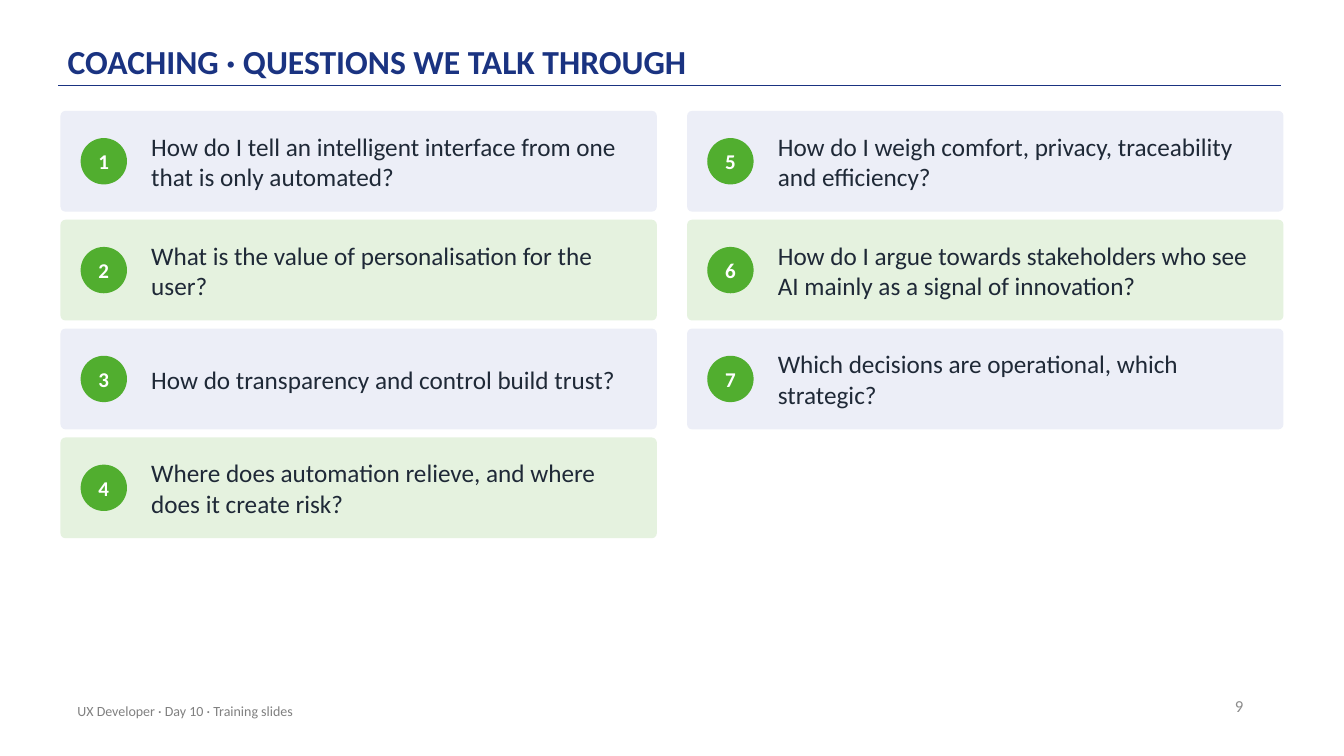
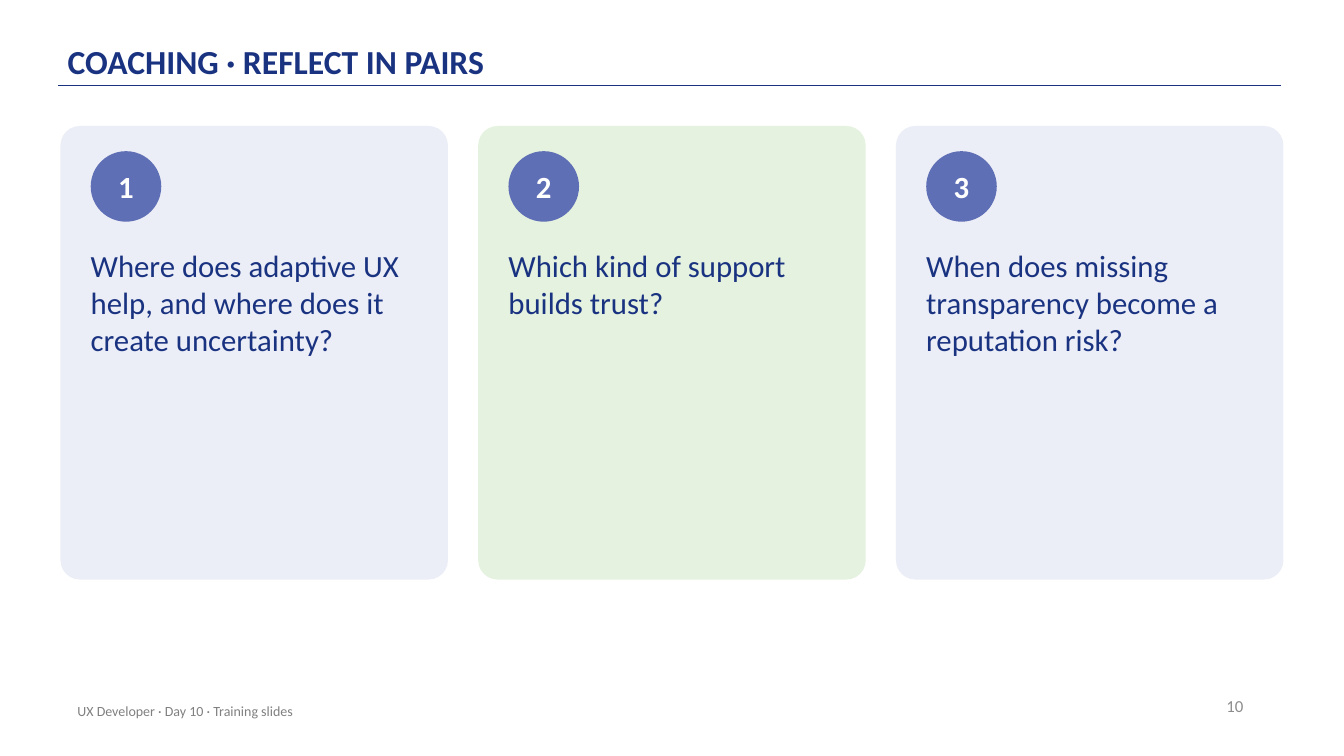
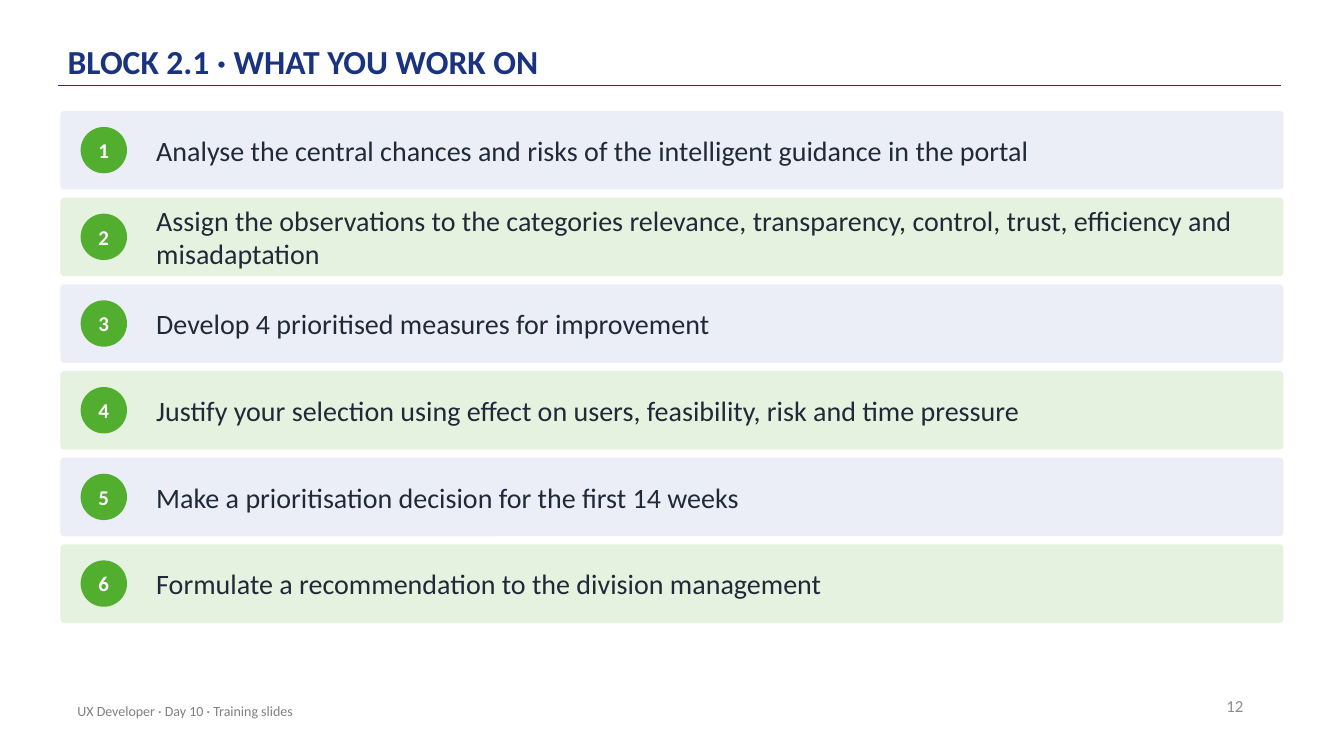
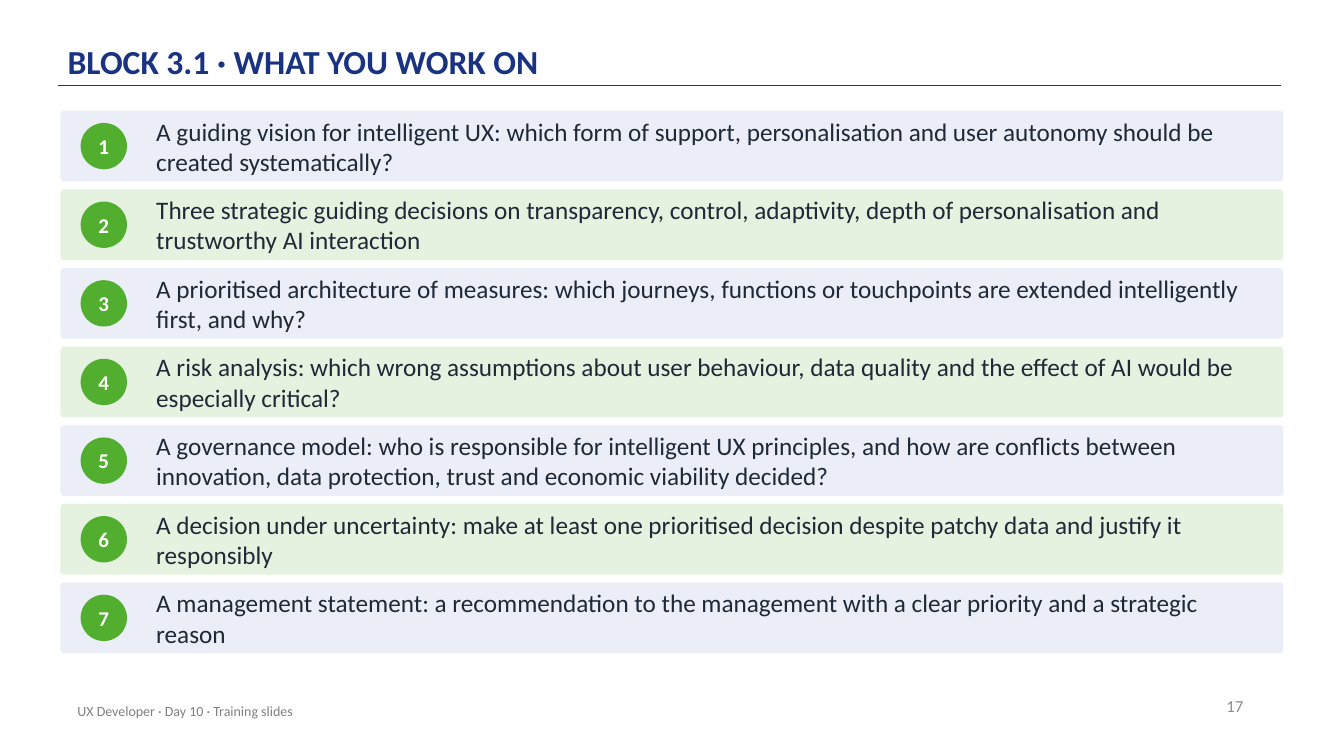
from lxml import etree
from pptx import Presentation
from pptx import util as u
from pptx.dml.color import RGBColor
from pptx.enum import shapes, text
from pptx.oxml import ns

COLORS = {"navy": "1A3381", "ink": "1F2937", "white": "FFFFFF",
          "lavender": "ECEEF7", "mint": "E5F2DF", "green": "51AE2F",
          "indigo": "5F6FB5", "footer": "808080", "number": "8C8C8C"}
FONT = "Calibri"
LEFT, WIDTH, GUTTER, ROW_GAP = 0.6, 12.13, 0.3, 0.08

# Measures of the three arrangements, in inches and points
QUESTIONS = dict(columns=2, rows=4, top=1.1, height=1, text_x=0.9, margin=0.2, size=18)
CARDS = dict(columns=3, rows=1, top=1.25, height=4.5, text_x=0.3, margin=0.3, size=22)
TASKS = dict(columns=1, rows=6, top=1.1, height=0.78, text_x=0.95, margin=0.25, size=20)
RESULTS = dict(TASKS, rows=7, height=0.7, size=18)

DECK = [
    ("COACHING · QUESTIONS WE TALK THROUGH", 9, QUESTIONS, [
        "How do I tell an intelligent interface from one that is only automated?",
        "What is the value of personalisation for the user?",
        "How do transparency and control build trust?",
        "Where does automation relieve, and where does it create risk?",
        "How do I weigh comfort, privacy, traceability and efficiency?",
        "How do I argue towards stakeholders who see AI mainly as a signal of innovation?",
        "Which decisions are operational, which strategic?"]),
    ("COACHING · REFLECT IN PAIRS", 10, CARDS, [
        "Where does adaptive UX help, and where does it create uncertainty?",
        "Which kind of support builds trust?",
        "When does missing transparency become a reputation risk?"]),
    ("BLOCK 2.1 · WHAT YOU WORK ON", 12, TASKS, [
        "Analyse the central chances and risks of the intelligent guidance in the portal",
        "Assign the observations to the categories relevance, transparency, control, trust, "
        "efficiency and misadaptation",
        "Develop 4 prioritised measures for improvement",
        "Justify your selection using effect on users, feasibility, risk and time pressure",
        "Make a prioritisation decision for the first 14 weeks",
        "Formulate a recommendation to the division management"]),
    ("BLOCK 3.1 · WHAT YOU WORK ON", 17, RESULTS, [
        "A guiding vision for intelligent UX: which form of support, personalisation and user "
        "autonomy should be created systematically?",
        "Three strategic guiding decisions on transparency, control, adaptivity, depth of "
        "personalisation and trustworthy AI interaction",
        "A prioritised architecture of measures: which journeys, functions or touchpoints are "
        "extended intelligently first, and why?",
        "A risk analysis: which wrong assumptions about user behaviour, data quality and the "
        "effect of AI would be especially critical?",
        "A governance model: who is responsible for intelligent UX principles, and how are "
        "conflicts between innovation, data protection, trust and economic viability decided?",
        "A decision under uncertainty: make at least one prioritised decision despite patchy "
        "data and justify it responsibly",
        "A management statement: a recommendation to the management with a clear priority and "
        "a strategic reason"]),
]


def write(holder, content, size, color, bold=False, align=text.PP_ALIGN.LEFT,
          anchor=text.MSO_ANCHOR.MIDDLE, insets=(0, 0), fit=text.MSO_AUTO_SIZE.NONE):
    """Fill a shape, text box or placeholder with one formatted paragraph."""
    frame = holder.text_frame
    frame.text = content
    frame.word_wrap = True
    frame.auto_size = fit
    frame.vertical_anchor = anchor
    frame.margin_left = frame.margin_right = u.Inches(insets[0])
    frame.margin_top = frame.margin_bottom = u.Inches(insets[1])
    paragraph = frame.paragraphs[0]
    paragraph.alignment = align
    font = paragraph.runs[0].font
    font.name, font.size, font.bold = FONT, u.Pt(size), bold
    font.color.rgb = RGBColor.from_string(COLORS[color])
    return paragraph


def draw(slide, preset, left, top, width, height, color):
    """Add a flat preset shape without outline."""
    shape = slide.shapes.add_shape(preset, u.Inches(left), u.Inches(top),
                                   u.Inches(width), u.Inches(height))
    shape.shadow.inherit = False
    shape.fill.solid()
    shape.fill.fore_color.rgb = RGBColor.from_string(COLORS[color])
    shape.line.fill.background()
    return shape


prs = Presentation()
prs.slide_width, prs.slide_height = u.Inches(13.33), u.Inches(7.5)

# Shared layout: title position, no unused placeholders
layout = prs.slide_layouts[5]
for placeholder in list(layout.placeholders):
    if placeholder.placeholder_format.type == shapes.PP_PLACEHOLDER.TITLE:
        placeholder.left, placeholder.top = u.Inches(0.67), u.Inches(0.12)
        placeholder.width, placeholder.height = u.Inches(11), u.Inches(0.72)
    else:
        layout.shapes.element.remove(placeholder.element)
slides = [prs.slides.add_slide(layout) for _ in DECK]

# Shared rule and footer, drawn once and moved to the layout
rule = slides[0].shapes.add_connector(shapes.MSO_CONNECTOR.STRAIGHT, u.Inches(0.58),
                                      u.Inches(0.85), u.Inches(12.71), u.Inches(0.85))
rule.line.color.rgb = RGBColor.from_string(COLORS["navy"])
rule.line.width = u.Pt(1)
etree.SubElement(rule.element.spPr, ns.qn("a:effectLst"))
footer = slides[0].shapes.add_textbox(u.Inches(0.67), u.Inches(6.85),
                                      u.Inches(6.7), u.Inches(0.4))
write(footer, "UX Developer · Day 10 · Training slides", 10, "footer", insets=(0.1, 0.05))
for shared in (rule, footer):
    layout.shapes.element.append(shared.element)

for slide, (title, page, grid, items) in zip(slides, DECK):
    # Title and page number
    heading = write(slide.shapes.title, title, 24, "navy", bold=True,
                    anchor=text.MSO_ANCHOR.BOTTOM, insets=(0, 0.03))
    heading.line_spacing = 0.9
    page_number = slide.shapes.add_textbox(u.Inches(9.43), u.Inches(6.8),
                                           u.Inches(3), u.Inches(0.4))
    write(page_number, str(page), 12, "number", align=text.PP_ALIGN.RIGHT, insets=(0.1, 0.05))

    # Numbered panels, filled column by column
    is_card = grid is CARDS
    height = grid["height"]
    width = (WIDTH - GUTTER * (grid["columns"] - 1)) / grid["columns"]
    for index, item in enumerate(items):
        column, row = divmod(index, grid["rows"])
        left = LEFT + column * (width + GUTTER)
        top = grid["top"] + row * (height + ROW_GAP)
        panel = draw(slide, shapes.MSO_SHAPE.ROUNDED_RECTANGLE, left, top, width, height,
                     "mint" if index % 2 else "lavender")
        panel.adjustments[0] = 0.05

        diameter = 0.7 if is_card else 0.46
        badge_x = 0.3 if is_card else 0.2
        badge_y = 0.25 if is_card else (height - diameter) / 2
        badge = draw(slide, shapes.MSO_SHAPE.OVAL, left + badge_x, top + badge_y,
                     diameter, diameter, "indigo" if is_card else "green")
        write(badge, str(index + 1), 22 if is_card else 15, "white", bold=True,
              align=text.PP_ALIGN.CENTER)

        text_y, text_height = (1.2, 3.1) if is_card else (0, height)
        statement = slide.shapes.add_textbox(
            u.Inches(left + grid["text_x"]), u.Inches(top + text_y),
            u.Inches(width - grid["text_x"] - grid["margin"]), u.Inches(text_height))
        write(statement, item, grid["size"], "navy" if is_card else "ink",
              anchor=text.MSO_ANCHOR.TOP if is_card else text.MSO_ANCHOR.MIDDLE,
              fit=text.MSO_AUTO_SIZE.SHAPE_TO_FIT_TEXT)

prs.save("out.pptx")
